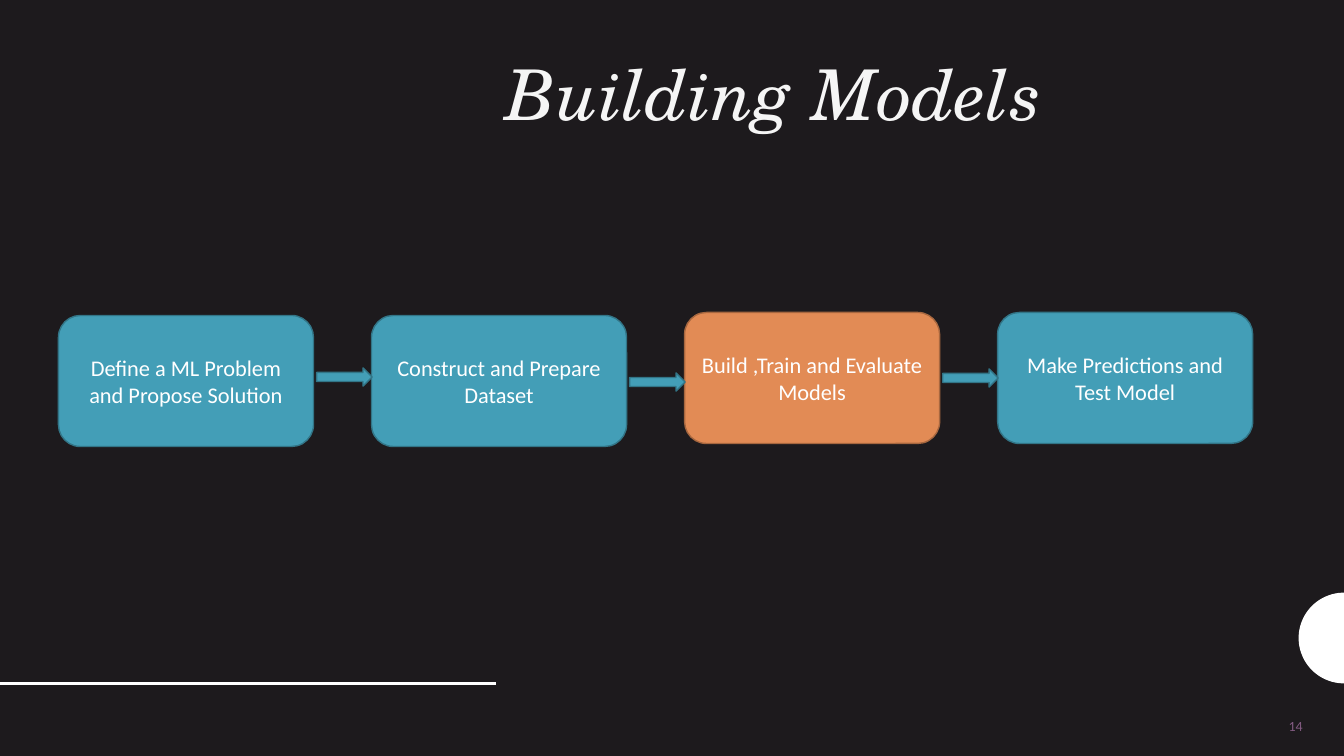
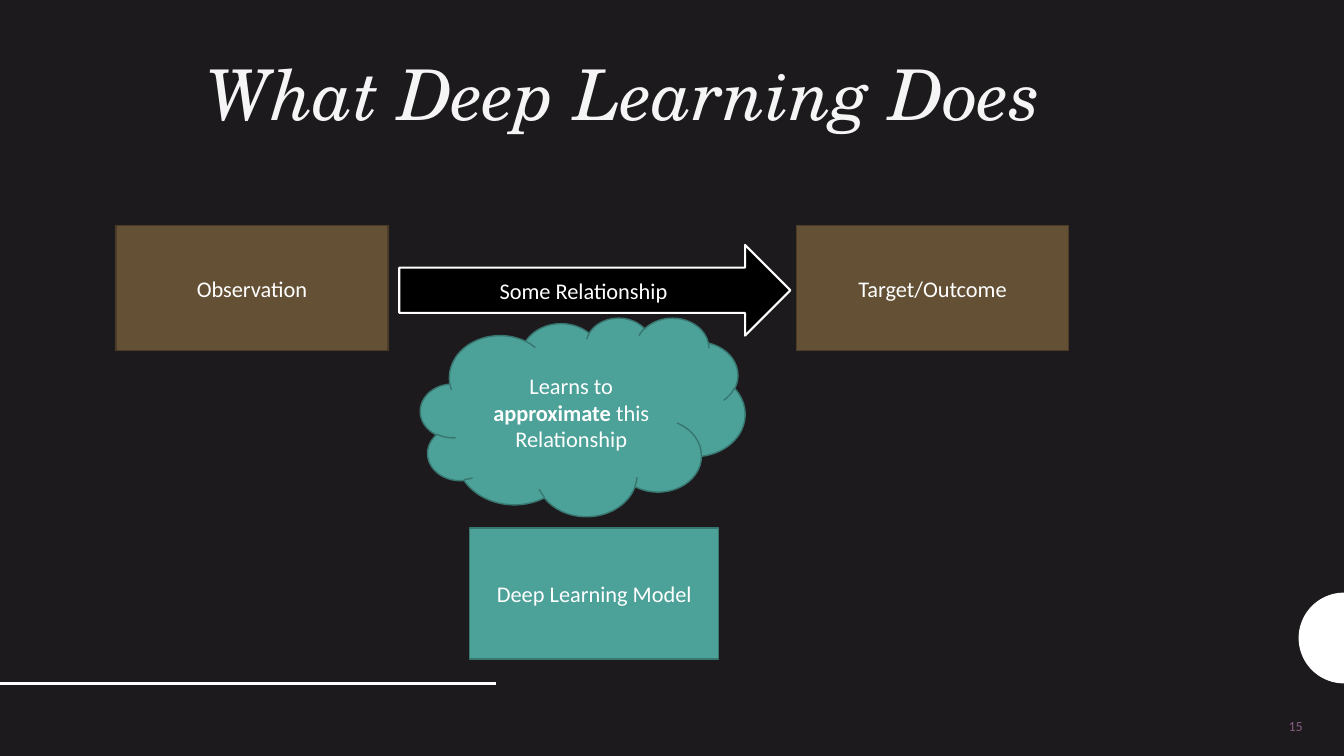
from dataclasses import dataclass
from math import cos, pi, sin

from pptx import Presentation
from pptx.dml.color import RGBColor
from pptx.enum.shapes import MSO_CONNECTOR, MSO_SHAPE
from pptx.enum.text import MSO_ANCHOR, MSO_AUTO_SIZE, PP_ALIGN
from pptx.oxml.ns import qn
from pptx.shapes.autoshape import Shape
from pptx.slide import Slide
from pptx.text.text import TextFrame
from pptx.util import Inches, Pt
from lxml import etree

RECT = MSO_SHAPE.RECTANGLE
ROUNDED = MSO_SHAPE.ROUNDED_RECTANGLE
ARROW = MSO_SHAPE.RIGHT_ARROW
CLOUD = MSO_SHAPE.CLOUD
STRAIGHT = MSO_CONNECTOR.STRAIGHT
MIDDLE, BOTTOM = MSO_ANCHOR.MIDDLE, MSO_ANCHOR.BOTTOM
CENTER, RIGHT = PP_ALIGN.CENTER, PP_ALIGN.RIGHT
NO_AUTOFIT = MSO_AUTO_SIZE.NONE

SLIDE_W, SLIDE_H = 13.33, 7.5
BACKGROUND, WHITE = "1D1A1D", "FFFFFF"
TITLE_FONT = {"name": "TeX Gyre Schola", "size": Pt(50), "italic": True, "bold": False}
BODY_FONT = {"name": "Calibri", "size": Pt(16)}
NUMBER_FONT = {"name": "Calibri", "size": Pt(10)}


@dataclass(frozen=True)
class Style:
    fill: str
    line: str
    width: float = 1


@dataclass(frozen=True)
class Run:
    text: str
    bold: bool = False


@dataclass(frozen=True)
class Node:
    kind: MSO_SHAPE
    left: float
    top: float
    width: float
    height: float
    style: Style
    runs: tuple[Run, ...] = ()


@dataclass(frozen=True)
class Step:
    text: str
    top: float
    style: Style


BLUE = Style("439EB7", "327587")
ORANGE = Style("E28B55", "A7673F")
BROWN = Style("645135", "4A3C27")
TEAL = Style("4CA198", "387770")
BLACK = Style("000000", WHITE, 1.5)

STEPS = (
    Step("Define a ML Problem and Propose Solution", 3.13, BLUE),
    Step("Construct and Prepare Dataset", 3.13, BLUE),
    Step("Build ,Train and Evaluate Models", 3.1, ORANGE),
    Step("Make Predictions and Test Model", 3.1, BLUE),
)
ARROW_TOPS = (3.65, 3.7, 3.66)
STEP_LEFT, STEP_PITCH, STEP_W, STEP_H = 0.58, 3.105, 2.53, 1.3
ARROW_OFFSET, ARROW_W, ARROW_H = 2.56, 0.55, 0.18

RELATION_NODES = (
    Node(RECT, 1.15, 2.24, 2.7, 1.24, BROWN, (Run("Observation"),)),
    Node(RECT, 7.9, 2.24, 2.7, 1.24, BROWN, (Run("Target/Outcome"),)),
    Node(ARROW, 3.96, 2.43, 3.88, 0.9, BLACK, (Run("Some Relationship"),)),
    Node(RECT, 4.66, 5.24, 2.47, 1.3, TEAL, (Run("Deep Learning Model"),)),
    Node(CLOUD, 4.17, 3.15, 3.22, 1.97, TEAL,
         (Run("Learns to "), Run("approximate ", True), Run("this Relationship"))),
)


def rgb(value: str) -> RGBColor:
    return RGBColor.from_string(value)


def write(tf: TextFrame, runs: tuple[Run, ...], font: dict, color: str,
          align: PP_ALIGN, anchor: MSO_ANCHOR = MIDDLE) -> None:
    tf.word_wrap = True
    tf.auto_size = NO_AUTOFIT
    tf.vertical_anchor = anchor
    p = tf.paragraphs[0]
    p.alignment = align
    for run in runs:
        r = p.add_run()
        r.text = run.text
        for name, value in {"bold": run.bold, **font}.items():
            setattr(r.font, name, value)
        r.font.color.rgb = rgb(color)


def place(sp: Shape, left: float, top: float, width: float, height: float) -> None:
    bounds = {"left": left, "top": top, "width": width, "height": height}
    for name, value in bounds.items():
        setattr(sp, name, Inches(value))


def draw_node(s: Slide, node: Node) -> None:
    bounds = (node.left, node.top, node.width, node.height)
    sp = s.shapes.add_shape(node.kind, *map(Inches, bounds))
    sp.shadow.inherit = False
    sp.fill.solid()
    sp.fill.fore_color.rgb = rgb(node.style.fill)
    sp.line.color.rgb = rgb(node.style.line)
    sp.line.width = Pt(node.style.width)
    if node.runs:
        write(sp.text_frame, node.runs, BODY_FONT, WHITE, CENTER)


def draw_half_disc(s: Slide, center_y: float, radius: float) -> None:
    segments = 48
    angles = [pi / 2 + pi * i / segments for i in range(segments + 1)]
    points = [(Inches(SLIDE_W + radius * cos(a)), Inches(center_y + radius * sin(a)))
              for a in angles]
    builder = s.shapes.build_freeform(*points[0])
    builder.add_line_segments(points[1:], close=True)
    sp = builder.convert_to_shape()
    sp.shadow.inherit = False
    sp.fill.solid()
    sp.fill.fore_color.rgb = rgb(WHITE)
    sp.line.fill.background()


def draw_rule(s: Slide, top: float, width: float) -> None:
    rule = s.shapes.add_connector(STRAIGHT, 0, Inches(top), Inches(width), Inches(top))
    rule.line.color.rgb = rgb(WHITE)
    rule.line.width = Pt(2)
    etree.SubElement(rule._element.spPr, qn("a:effectLst"))


def add_slide(prs: Presentation, title: str, number: int) -> Slide:
    s = prs.slides.add_slide(prs.slide_layouts.get_by_name("Title Only"))
    s.background.fill.solid()
    s.background.fill.fore_color.rgb = rgb(BACKGROUND)
    draw_half_disc(s, 6.33, 0.45)
    draw_rule(s, 6.78, 4.92)
    sp = s.shapes.add_textbox(*map(Inches, (9.91, 7, 3.11, 0.4)))
    write(sp.text_frame, (Run(str(number)),), NUMBER_FONT, "835B82", RIGHT)
    place(s.shapes.title, 0.45, 0.14, 9.98, 1.26)
    tf = s.shapes.title.text_frame
    write(tf, (Run(title),), TITLE_FONT, "F5F5F5", RIGHT, BOTTOM)
    tf.paragraphs[0].line_spacing = 0.9
    return s


def build_models(prs: Presentation) -> None:
    s = add_slide(prs, "Building Models", 14)
    for i, step in enumerate(STEPS):
        draw_node(s, Node(ROUNDED, STEP_LEFT + i * STEP_PITCH, step.top,
                          STEP_W, STEP_H, step.style, (Run(step.text),)))
    for i, top in enumerate(ARROW_TOPS):
        left = STEP_LEFT + i * STEP_PITCH + ARROW_OFFSET
        draw_node(s, Node(ARROW, left, top, ARROW_W, ARROW_H, BLUE))


def build_deep_learning(prs: Presentation) -> None:
    s = add_slide(prs, "What Deep Learning Does", 15)
    for node in RELATION_NODES:
        draw_node(s, node)


def main() -> None:
    prs = Presentation()
    prs.slide_width, prs.slide_height = Inches(SLIDE_W), Inches(SLIDE_H)
    build_models(prs)
    build_deep_learning(prs)
    prs.save("out.pptx")


if __name__ == "__main__":
    main()
